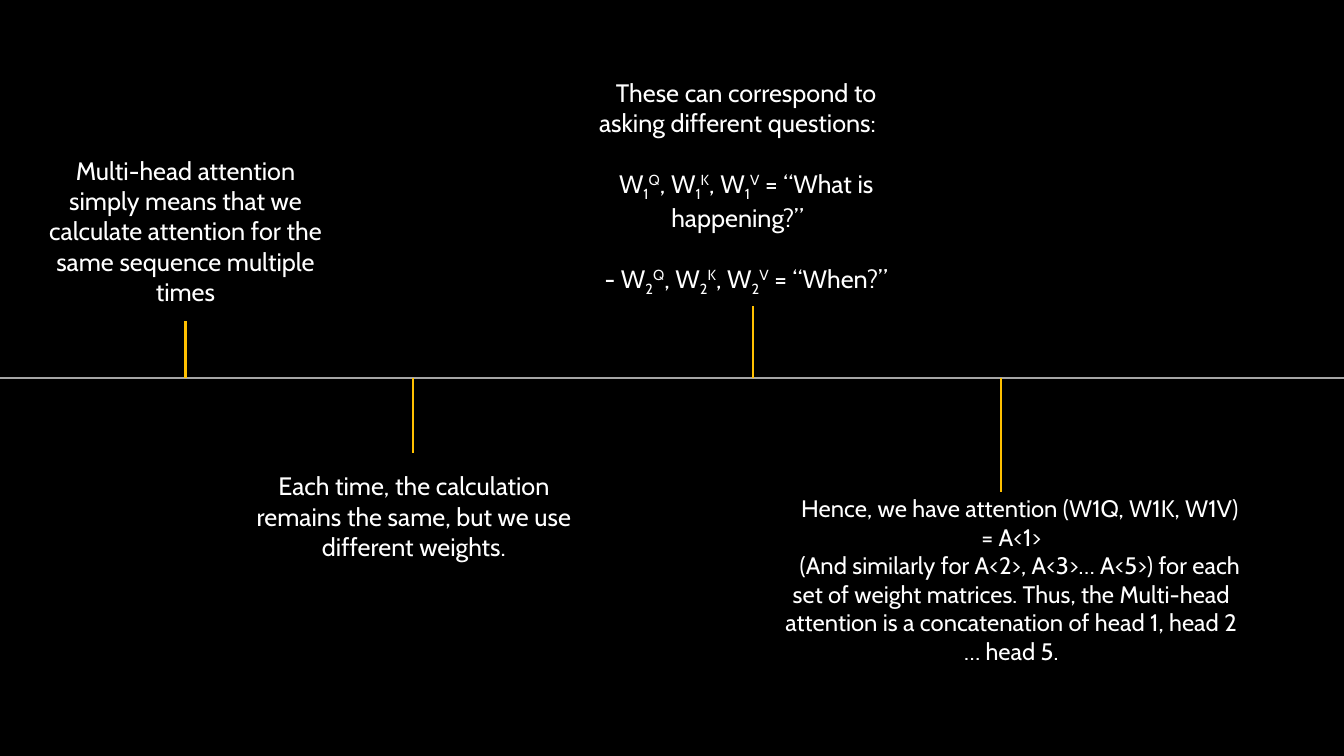
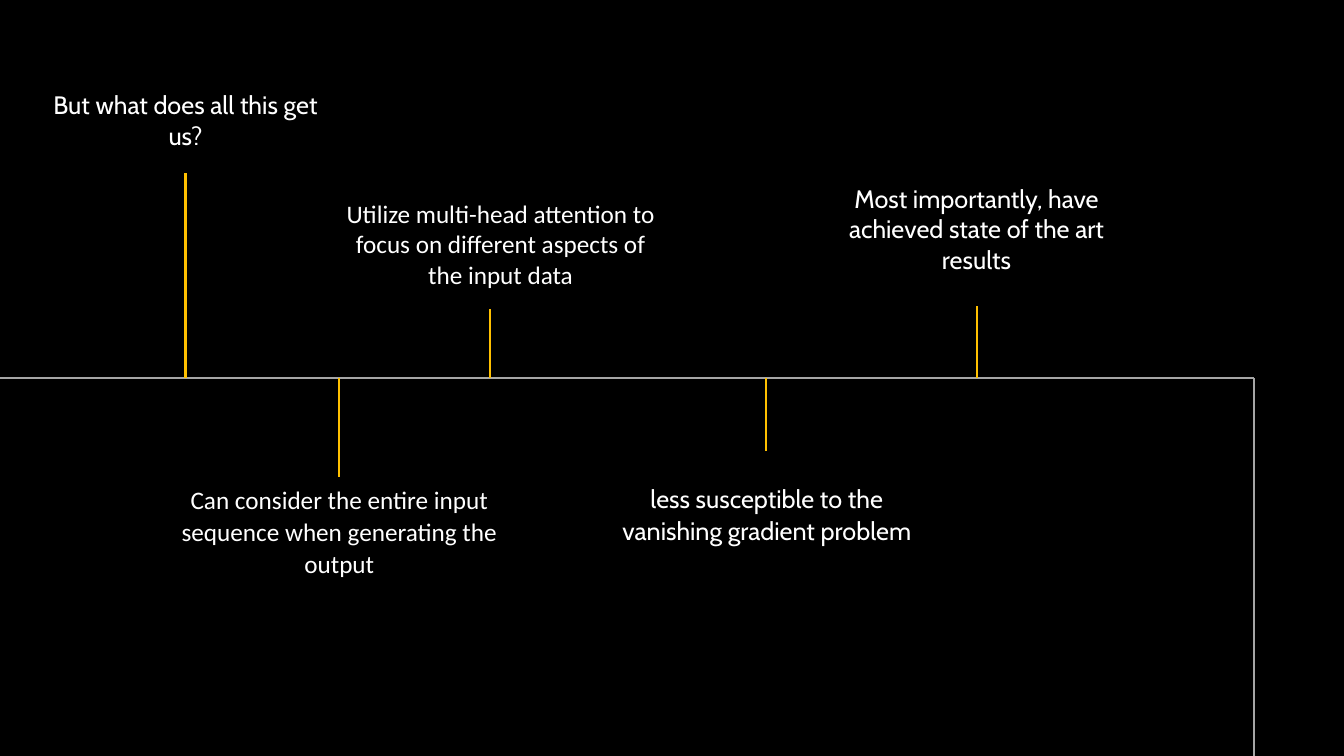
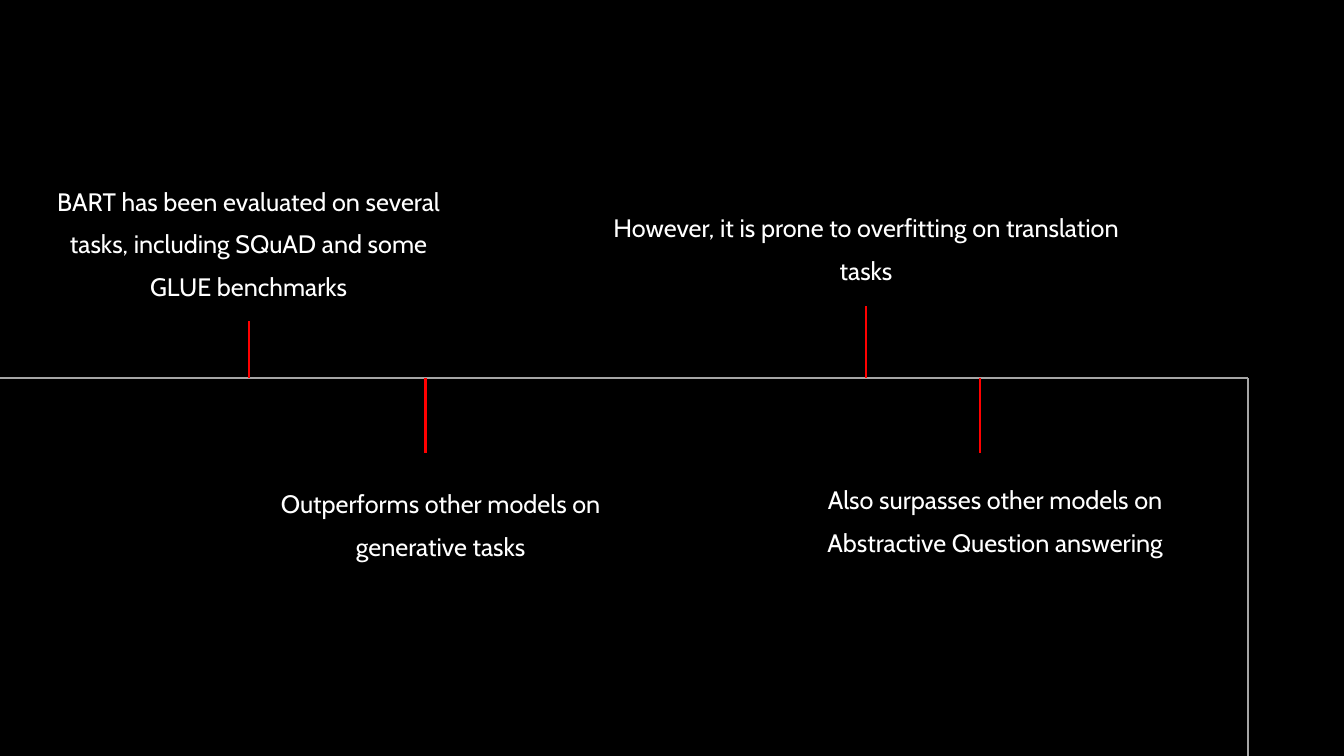
"""Three timeline slides on multi-head attention and model results."""
from pptx import Presentation
from pptx.dml.color import RGBColor
from pptx.enum.shapes import MSO_CONNECTOR
from pptx.enum.text import MSO_AUTO_SIZE, PP_ALIGN
from pptx.oxml.ns import qn
from pptx.util import Inches, Pt
from lxml.etree import SubElement

COLORS = {"ground": "000000", "text": "FFFFFF", "axis": "A6A6A6",
          "gold": "FFC000", "red": "FF0000"}
WIDTH, HEIGHT, AXIS_Y = 13.33, 7.5, 3.75
SUBSCRIPT, SUPERSCRIPT = -25, 30
DEFAULTS = {"font": "Cabin", "size": 18, "spacing": 1, "indent": 0, "gap": 0}


def weight_question(head, question, lead=""):
    """Return the runs naming one head's weight matrices and its question."""
    runs = []
    for separator, matrix in ((lead, "Q"), (", ", "K"), (", ", "V")):
        runs += [(separator + "W", 0), (head, SUBSCRIPT), (matrix, SUPERSCRIPT)]
    return runs + [(f" = “{question}”", 0)]


SLIDES = [
    {"axis_end": WIDTH, "corner": False, "tick_color": "gold",
     "ticks": [(1.84, 3.18), (4.1, 4.49), (7.47, 3.04), (9.93, 4.88)],
     "notes": [
         {"at": (0.32, 1.49, 3.04, 1.62), "text": [
             "Multi-head attention simply means that we calculate attention "
             "for the same sequence multiple times"]},
         {"at": (2.4, 4.62, 3.41, 1.01), "text": [
             "Each time, the calculation remains the same, but we use "
             "different weights."]},
         {"at": (5.57, 0.72, 3.49, 2.22), "indent": 0.17, "gap": 21.6, "text": [
             "These can correspond to asking different questions:",
             weight_question("1", "What is happening?"),
             weight_question("2", "When?", lead="- ")]},
         {"at": (7.62, 4.85, 4.82, 1.82), "indent": 0.17, "size": 17, "text": [
             "Hence, we have attention (W1Q, W1K, W1V) = A<1>",
             "(And similarly for A<2>, A<3>… A<5>) for each set of weight "
             "matrices. Thus, the Multi-head attention is a concatenation of "
             "head 1, head 2 … head 5."]},
     ]},
    {"axis_end": 12.44, "corner": True, "tick_color": "gold",
     "ticks": [(1.84, 1.72), (3.36, 4.73), (4.86, 3.07), (7.6, 4.47), (9.69, 3.04)],
     "notes": [
         {"at": (0.32, 0.84, 3.04, 0.71), "text": ["But what does all this get us?"]},
         {"at": (1.62, 4.73, 3.49, 1.06), "spacing": 1.07, "font": "Calibri", "text": [
             "Can consider the entire input sequence when generating the output"]},
         {"at": (3.26, 1.92, 3.41, 1.01), "font": "Calibri", "text": [
             "Utilize multi-head attention to focus on different aspects of "
             "the input data"]},
         {"at": (5.86, 4.72, 3.49, 0.73), "spacing": 1.07, "text": [
             "less susceptible to the vanishing gradient problem"]},
         {"at": (7.98, 1.77, 3.41, 1.01), "text": [
             "Most importantly, have achieved state of the art results"]},
     ]},
    {"axis_end": 12.38, "corner": True, "tick_color": "red",
     "ticks": [(2.47, 3.18), (4.22, 4.49), (8.59, 3.04), (9.72, 4.49)],
     "notes": [
         {"at": (0.29, 1.68, 4.35, 1.33), "spacing": 1.4, "text": [
             "BART has been evaluated on several tasks, including SQuAD and "
             "some GLUE benchmarks"]},
         {"at": (2.41, 4.68, 3.92, 0.91), "spacing": 1.4, "text": [
             "Outperforms other models on generative tasks"]},
         {"at": (5.85, 1.94, 5.48, 0.91), "spacing": 1.4, "text": [
             "However, it is prone to overfitting on translation tasks"]},
         {"at": (7.91, 4.64, 3.92, 0.91), "spacing": 1.4, "text": [
             "Also surpasses other models on Abstractive Question answering"]},
     ]},
]


def color(name):
    return RGBColor.from_string(COLORS[name])


def add_line(slide, start, end, color_name):
    line = slide.shapes.add_connector(
        MSO_CONNECTOR.STRAIGHT, *(Inches(value) for value in (*start, *end)))
    line.line.color.rgb = color(color_name)
    line.line.width = Pt(1.5)
    SubElement(line._element.spPr, qn("a:effectLst"))


def add_note(slide, note):
    style = {**DEFAULTS, **note}
    box = slide.shapes.add_textbox(*(Inches(value) for value in style["at"]))
    frame = box.text_frame
    frame.word_wrap = True
    frame.auto_size = MSO_AUTO_SIZE.SHAPE_TO_FIT_TEXT
    for index, content in enumerate(style["text"]):
        paragraph = frame.paragraphs[0] if index == 0 else frame.add_paragraph()
        paragraph.alignment = PP_ALIGN.CENTER
        paragraph.line_spacing = float(style["spacing"])
        if index and style["gap"]:
            paragraph.space_before = Pt(style["gap"])
        if style["indent"]:
            properties = paragraph._p.get_or_add_pPr()
            properties.set("marL", "0")
            properties.set("indent", str(Inches(style["indent"])))
        paragraph.font.name = style["font"]
        paragraph.font.size = Pt(style["size"])
        paragraph.font.color.rgb = color("text")
        runs = [(content, 0)] if isinstance(content, str) else content
        for text, baseline in runs:
            run = paragraph.add_run()
            run.text = text
            if baseline:
                run._r.get_or_add_rPr().set("baseline", str(baseline * 1000))


def add_timeline(deck, timeline):
    slide = deck.slides.add_slide(deck.slide_layouts[6])
    slide.background.fill.solid()
    slide.background.fill.fore_color.rgb = color("ground")
    bend = (timeline["axis_end"], AXIS_Y)
    add_line(slide, (0, AXIS_Y), bend, "axis")
    if timeline["corner"]:
        add_line(slide, bend, (timeline["axis_end"], HEIGHT), "axis")
    for x, tip in timeline["ticks"]:
        add_line(slide, (x, AXIS_Y), (x, tip), timeline["tick_color"])
    for note in timeline["notes"]:
        add_note(slide, note)


def main():
    deck = Presentation()
    deck.slide_width, deck.slide_height = Inches(WIDTH), Inches(HEIGHT)
    for timeline in SLIDES:
        add_timeline(deck, timeline)
    deck.save("out.pptx")


if __name__ == "__main__":
    main()
